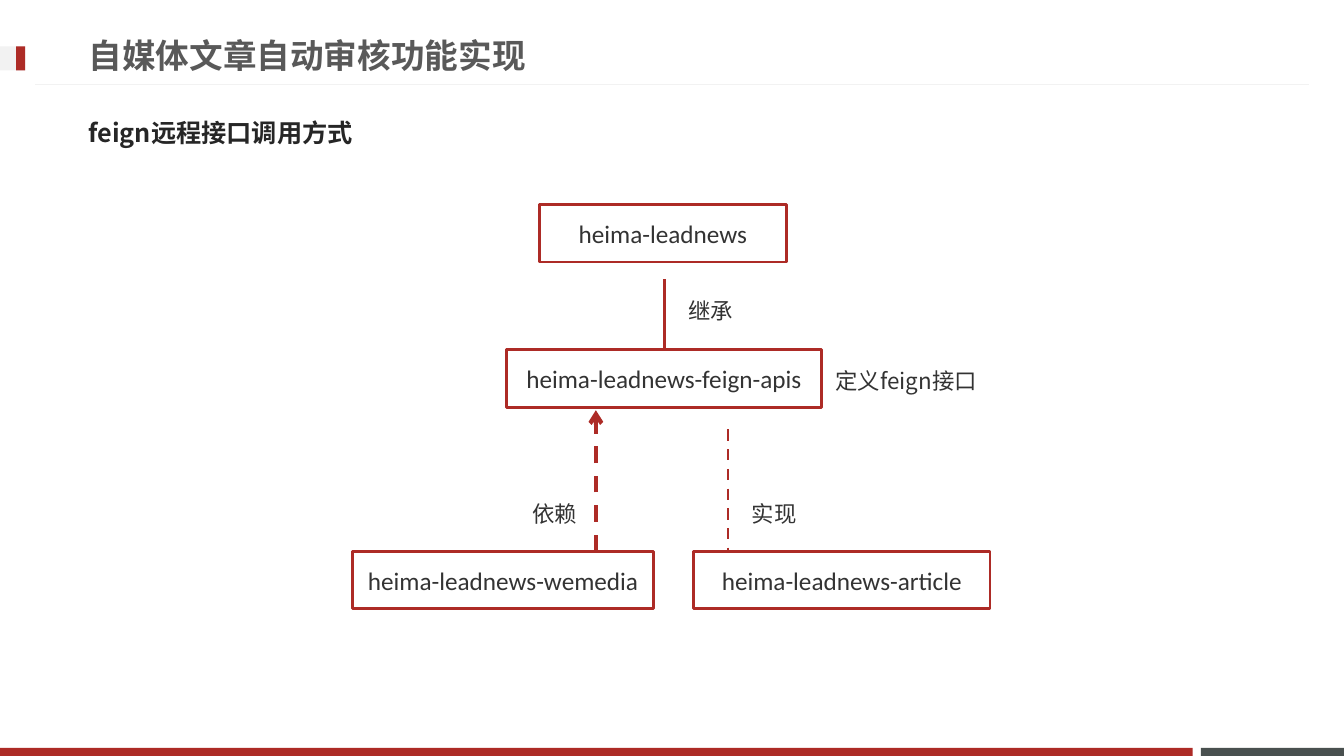
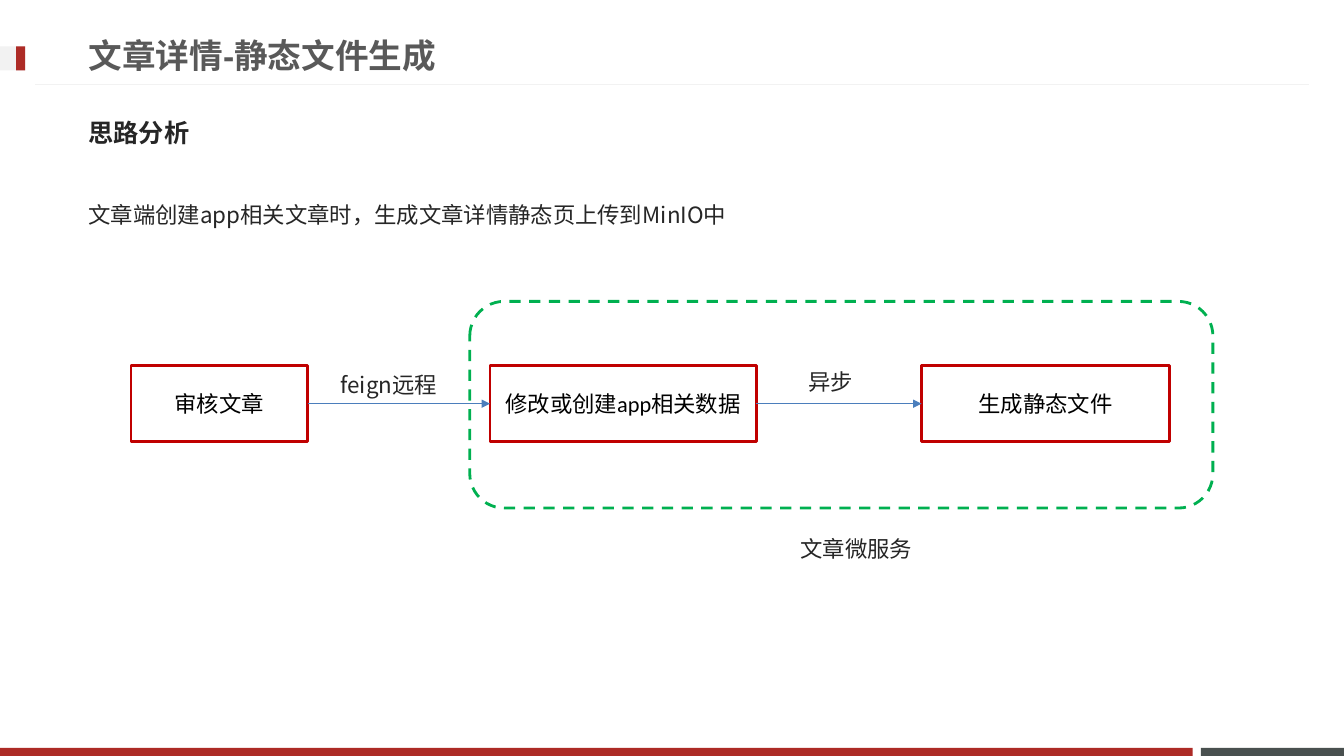
from dataclasses import dataclass

from lxml.etree import SubElement
from pptx import Presentation
from pptx.dml.color import RGBColor
from pptx.enum.dml import MSO_LINE
from pptx.enum.shapes import MSO_CONNECTOR, MSO_SHAPE
from pptx.enum.text import MSO_ANCHOR, MSO_AUTO_SIZE, PP_ALIGN
from pptx.oxml.ns import qn
from pptx.util import Inches, Pt


@dataclass(frozen=True)
class Theme:
    red: str = "AD2B26"
    slate: str = "49504F"
    pale: str = "F2F2F2"
    title: str = "595959"
    body: str = "262626"
    module: str = "333333"
    step: str = "000000"
    step_line: str = "C00000"
    flow: str = "4B7EBC"
    service: str = "00B050"
    title_font: str = "Arial"
    body_font: str = "Noto Sans CJK JP"
    node_font: str = "Calibri"
    title_size: int = 24
    heading_size: int = 18
    text_size: int = 16


THEME = Theme()


def rgb(value):
    return RGBColor.from_string(value)


def write(frame, text, font, size, color, bold=False, align=PP_ALIGN.LEFT,
          anchor=MSO_ANCHOR.TOP, spacing=1.0):
    frame.word_wrap = True
    frame.auto_size = MSO_AUTO_SIZE.NONE
    frame.vertical_anchor = anchor
    paragraph = frame.paragraphs[0]
    paragraph.text = text
    paragraph.alignment = align
    paragraph.line_spacing = spacing
    paragraph.font.name = font
    paragraph.font.size = Pt(size)
    paragraph.font.bold = bold
    paragraph.font.color.rgb = rgb(color)


def add_band(slide, left, top, width, height, color):
    band = slide.shapes.add_shape(
        MSO_SHAPE.RECTANGLE, *map(Inches, (left, top, width, height)))
    band.shadow.inherit = False
    band.fill.solid()
    band.fill.fore_color.rgb = rgb(color)
    band.line.fill.background()


def add_outline(slide, preset, box, color, dashed=False):
    outline = slide.shapes.add_shape(preset, *map(Inches, box))
    outline.shadow.inherit = False
    outline.fill.background()
    outline.line.color.rgb = rgb(color)
    outline.line.width = Pt(2)
    if dashed:
        outline.line.dash_style = MSO_LINE.DASH
    return outline


def add_node(slide, text, box, color, line_color, size):
    node = add_outline(slide, MSO_SHAPE.RECTANGLE, box, line_color)
    node.text_frame.margin_left = node.text_frame.margin_right = Inches(0.05)
    write(node.text_frame, text, THEME.node_font, size, color,
          align=PP_ALIGN.CENTER, anchor=MSO_ANCHOR.MIDDLE)
    return node


def add_line(slide, start, end, color, width, dashed=False, head=None):
    line = slide.shapes.add_connector(
        MSO_CONNECTOR.STRAIGHT, *map(Inches, (*start, *end)))
    line.line.color.rgb = rgb(color)
    line.line.width = Pt(width)
    if dashed:
        line.line.dash_style = MSO_LINE.DASH
    properties = line._element.spPr
    if head:
        SubElement(properties.find(qn("a:ln")), qn("a:tailEnd"), type=head)
    SubElement(properties, qn("a:effectLst"))
    return line


def add_text(slide, text, left, top, width, color=THEME.body):
    box = slide.shapes.add_textbox(*map(Inches, (left, top, width, 0.57)))
    write(box.text_frame, text, THEME.body_font, THEME.text_size, color,
          spacing=1.5)


def add_page(deck, title, heading):
    slide = deck.slides.add_slide(deck.slide_layouts[5])
    add_band(slide, 11.91, 7.42, 1.42, 0.08, THEME.slate)
    add_band(slide, 0, 7.42, 11.83, 0.08, THEME.red)
    add_line(slide, (0.35, 0.84), (12.98, 0.84), THEME.pale, 0.75)
    add_band(slide, 0, 0.46, 0.25, 0.24, THEME.pale)
    add_band(slide, 0.16, 0.46, 0.09, 0.24, THEME.red)

    headline = slide.shapes.title
    headline.left, headline.top = Inches(0.78), Inches(0.26)
    headline.width, headline.height = Inches(9.59), Inches(0.57)
    write(headline.text_frame, title, THEME.title_font, THEME.title_size,
          THEME.title, bold=True, anchor=MSO_ANCHOR.MIDDLE)

    subhead = slide.shapes.add_textbox(
        *map(Inches, (0.78, 1.03, 11.7, 0.57)))
    write(subhead.text_frame, heading, THEME.body_font, THEME.heading_size,
          THEME.body, bold=True, anchor=MSO_ANCHOR.MIDDLE)
    return slide


def build_feign_modules(deck):
    slide = add_page(deck, "自媒体文章自动审核功能实现", "feign远程接口调用方式")
    modules = (
        ("heima-leadnews", 5.35, 2.03, 2.45),
        ("heima-leadnews-feign-apis", 5.02, 3.47, 3.13),
        ("heima-leadnews-article", 6.88, 5.47, 2.94),
        ("heima-leadnews-wemedia", 3.5, 5.47, 2.98),
    )
    for name, left, top, width in modules:
        add_node(slide, name, (left, top, width, 0.57), THEME.module,
                 THEME.red, THEME.heading_size)

    add_line(slide, (5.91, 5.47), (5.91, 4.07), THEME.red, 3, True, "arrow")
    add_line(slide, (7.22, 4.26), (7.22, 5.47), THEME.red, 2, True)
    add_line(slide, (6.59, 2.77), (6.59, 3.47), THEME.red, 2)

    relations = (
        ("继承", 6.73, 2.77, 0.8),
        ("依赖", 5.18, 4.78, 0.8),
        ("实现", 7.36, 4.78, 0.8),
        ("定义feign接口", 8.19, 3.46, 1.63),
    )
    for relation in relations:
        add_text(slide, *relation, color=THEME.module)


def build_static_file_flow(deck):
    slide = add_page(deck, "文章详情-静态文件生成", "思路分析")
    add_text(slide, "文章端创建app相关文章时，生成文章详情静态页上传到MinIO中",
             0.78, 1.81, 11.7)

    steps = (
        ("审核文章", 1.3, 1.75),
        ("修改或创建app相关数据", 4.86, 2.64),
        ("生成静态文件", 9.14, 2.46),
    )
    nodes = [add_node(slide, name, (left, 3.63, width, 0.75), THEME.step,
                      THEME.step_line, THEME.text_size)
             for name, left, width in steps]
    for source, target in zip(nodes, nodes[1:]):
        arrow = add_line(slide, (0, 0), (1, 0), THEME.flow, 0.75,
                         head="triangle")
        arrow.begin_connect(source, 3)
        arrow.end_connect(target, 1)

    add_text(slide, "feign远程", 3.28, 3.5, 1.58)
    add_text(slide, "异步", 7.92, 3.47, 0.93)
    add_outline(slide, MSO_SHAPE.ROUNDED_RECTANGLE, (4.66, 2.99, 7.37, 2.05),
                THEME.service, dashed=True)
    add_text(slide, "文章微服务", 7.84, 5.13, 1.75)


def main():
    deck = Presentation()
    deck.slide_width, deck.slide_height = Inches(13.33), Inches(7.5)
    build_feign_modules(deck)
    build_static_file_flow(deck)
    deck.save("out.pptx")


if __name__ == "__main__":
    main()
